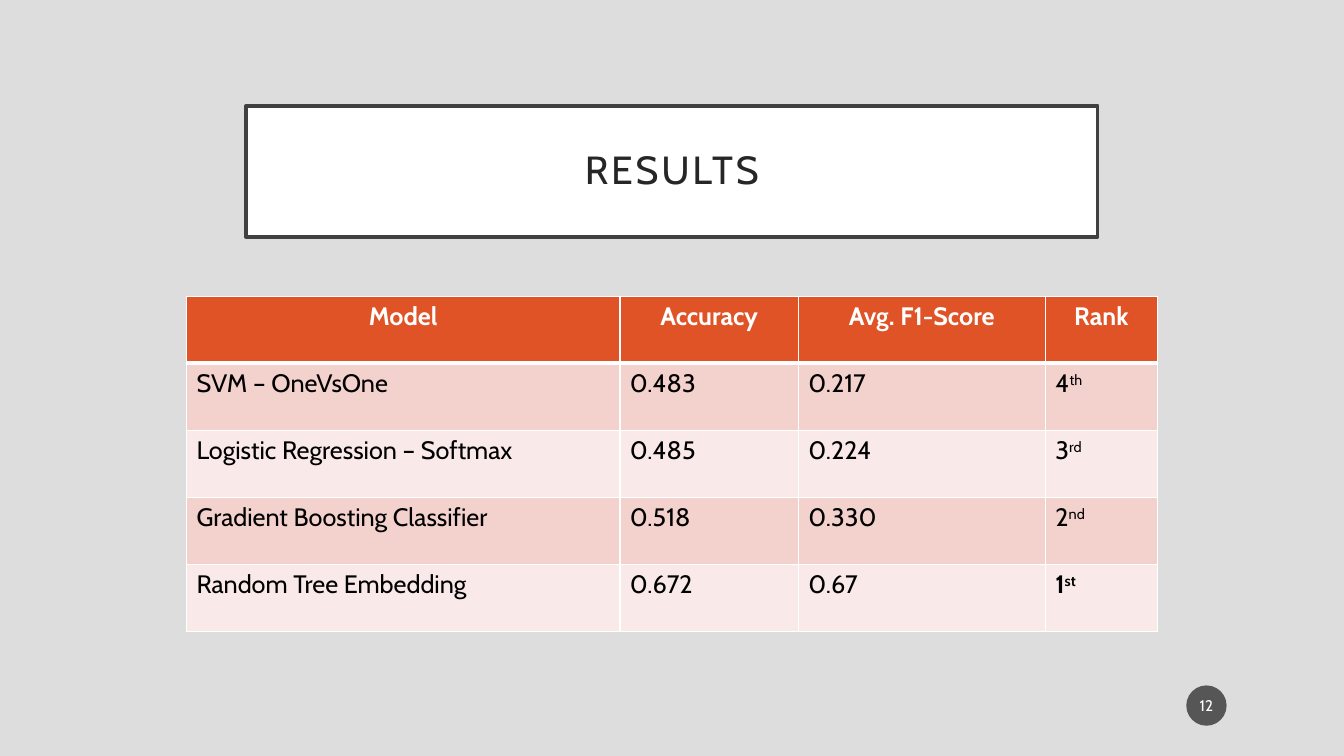
from dataclasses import dataclass

from lxml.etree import SubElement
from pptx import Presentation
from pptx.dml.color import RGBColor
from pptx.enum.shapes import MSO_SHAPE
from pptx.enum.text import MSO_ANCHOR, MSO_AUTO_SIZE, PP_ALIGN
from pptx.oxml import parse_xml
from pptx.oxml.ns import nsdecls, qn
from pptx.slide import Slide
from pptx.table import _Cell
from pptx.text.text import _Paragraph, _Run
from pptx.util import Pt


@dataclass(frozen=True)
class Theme:
    font: str = "Cabin"
    background: str = "DDDDDD"
    white: str = "FFFFFF"
    frame: str = "404040"
    title: str = "262626"
    text: str = "000000"
    header: str = "DF5327"
    bands: tuple[str, str] = ("F3D1CD", "F9E9E8")
    badge: str = "1D1D1D"
    title_size: float = 28
    table_size: float = 18
    badge_size: float = 11


@dataclass(frozen=True)
class ModelResult:
    model: str
    accuracy: str
    f1_score: str
    rank: str
    suffix: str
    best: bool = False


THEME = Theme()
HEADINGS = ("Model", "Accuracy", "Avg. F1-Score", "Rank")
COLUMN_WIDTHS = (309.6, 127.5, 176.4, 80)
ROW_HEIGHT = 47.84
RESULTS = (
    ModelResult("SVM – OneVsOne", "0.483", "0.217", "4", "th"),
    ModelResult("Logistic Regression – Softmax", "0.485", "0.224", "3", "rd"),
    ModelResult("Gradient Boosting Classifier", "0.518", "0.330", "2", "nd"),
    ModelResult("Random Tree Embedding", "0.672", "0.67", "1", "st", best=True),
)


def rgb(value: str) -> RGBColor:
    return RGBColor.from_string(value)


def style(paragraph: _Paragraph, size: float, color: str, bold: bool = False) -> None:
    paragraph.font.name = THEME.font
    paragraph.font.size = Pt(size)
    paragraph.font.bold = bold
    paragraph.font.color.rgb = rgb(color)


def add_run(paragraph: _Paragraph, text: str) -> _Run:
    run = paragraph.add_run()
    run.text = text
    return run


def format_cell(cell: _Cell, fill: str, top: float, bottom: float) -> None:
    cell.fill.solid()
    cell.fill.fore_color.rgb = rgb(fill)
    properties = cell._tc.get_or_add_tcPr()
    widths = {"lnL": 1, "lnR": 1, "lnT": top, "lnB": bottom}
    for position, (side, width) in enumerate(widths.items()):
        border = parse_xml(
            f'<a:{side} {nsdecls("a")} w="{Pt(width)}"><a:solidFill>'
            f'<a:srgbClr val="{THEME.white}"/></a:solidFill></a:{side}>'
        )
        properties.insert(position, border)


def add_title(slide: Slide) -> None:
    title = slide.shapes.title
    title.left, title.top, title.width, title.height = Pt(175.7), Pt(75.6), Pt(608.4), Pt(93.6)
    title.fill.solid()
    title.fill.fore_color.rgb = rgb(THEME.white)
    title.line.color.rgb = rgb(THEME.frame)
    title.line.width = Pt(2.5)
    frame = title.text_frame
    frame.auto_size = MSO_AUTO_SIZE.NONE
    frame.word_wrap = True
    frame.vertical_anchor = MSO_ANCHOR.MIDDLE
    frame.margin_left = frame.margin_right = frame.margin_top = frame.margin_bottom = Pt(14.4)
    heading = frame.paragraphs[0]
    heading.alignment = PP_ALIGN.CENTER
    heading.line_spacing = 0.9
    style(heading, THEME.title_size, THEME.title)
    add_run(heading, "RESULTS")._r.get_or_add_rPr().set("spc", "200")


def add_results(slide: Slide) -> None:
    results = slide.shapes.add_table(
        len(RESULTS) + 1, len(HEADINGS), Pt(133.2), Pt(211.7),
        Pt(sum(COLUMN_WIDTHS)), Pt(ROW_HEIGHT * (len(RESULTS) + 1)),
    ).table
    for column, width in zip(results.columns, COLUMN_WIDTHS):
        column.width = Pt(width)
    for row in results.rows:
        row.height = Pt(ROW_HEIGHT)

    for cell, heading in zip(results.rows[0].cells, HEADINGS):
        format_cell(cell, THEME.header, top=1, bottom=3)
        label = cell.text_frame.paragraphs[0]
        label.alignment = PP_ALIGN.CENTER
        style(label, THEME.table_size, THEME.white, bold=True)
        add_run(label, heading)

    for index, result in enumerate(RESULTS):
        cells = list(results.rows[index + 1].cells)
        values = (result.model, result.accuracy, result.f1_score, result.rank)
        for cell, value in zip(cells, values):
            format_cell(cell, THEME.bands[index % 2], top=1 if index else 3, bottom=1)
            entry = cell.text_frame.paragraphs[0]
            style(entry, THEME.table_size, THEME.text, bold=result.best and cell is cells[-1])
            add_run(entry, value)
        suffix = add_run(cells[-1].text_frame.paragraphs[0], result.suffix)
        suffix._r.get_or_add_rPr().set("baseline", "30000")


def add_page_badge(slide: Slide) -> None:
    badge = slide.shapes.add_shape(MSO_SHAPE.OVAL, Pt(847.4), Pt(489.6), Pt(28.8), Pt(28.8))
    badge.shadow.inherit = False
    badge.line.fill.background()
    badge.fill.solid()
    badge.fill.fore_color.rgb = rgb(THEME.badge)
    color = badge._element.spPr.find(qn("a:solidFill")).find(qn("a:srgbClr"))
    SubElement(color, qn("a:alpha")).set("val", "70000")
    frame = badge.text_frame
    frame.vertical_anchor = MSO_ANCHOR.MIDDLE
    frame.margin_left = frame.margin_right = Pt(1.4)
    frame.margin_top = frame.margin_bottom = Pt(3.6)
    number = frame.paragraphs[0]
    number.alignment = PP_ALIGN.CENTER
    style(number, THEME.badge_size, THEME.white)
    add_run(number, "12")


def main() -> None:
    presentation = Presentation()
    presentation.slide_width = Pt(960)
    presentation.slide_height = Pt(540)
    slide = presentation.slides.add_slide(presentation.slide_layouts.get_by_name("Title Only"))
    slide.background.fill.solid()
    slide.background.fill.fore_color.rgb = rgb(THEME.background)
    add_title(slide)
    add_results(slide)
    add_page_badge(slide)
    presentation.save("out.pptx")


if __name__ == "__main__":
    main()
